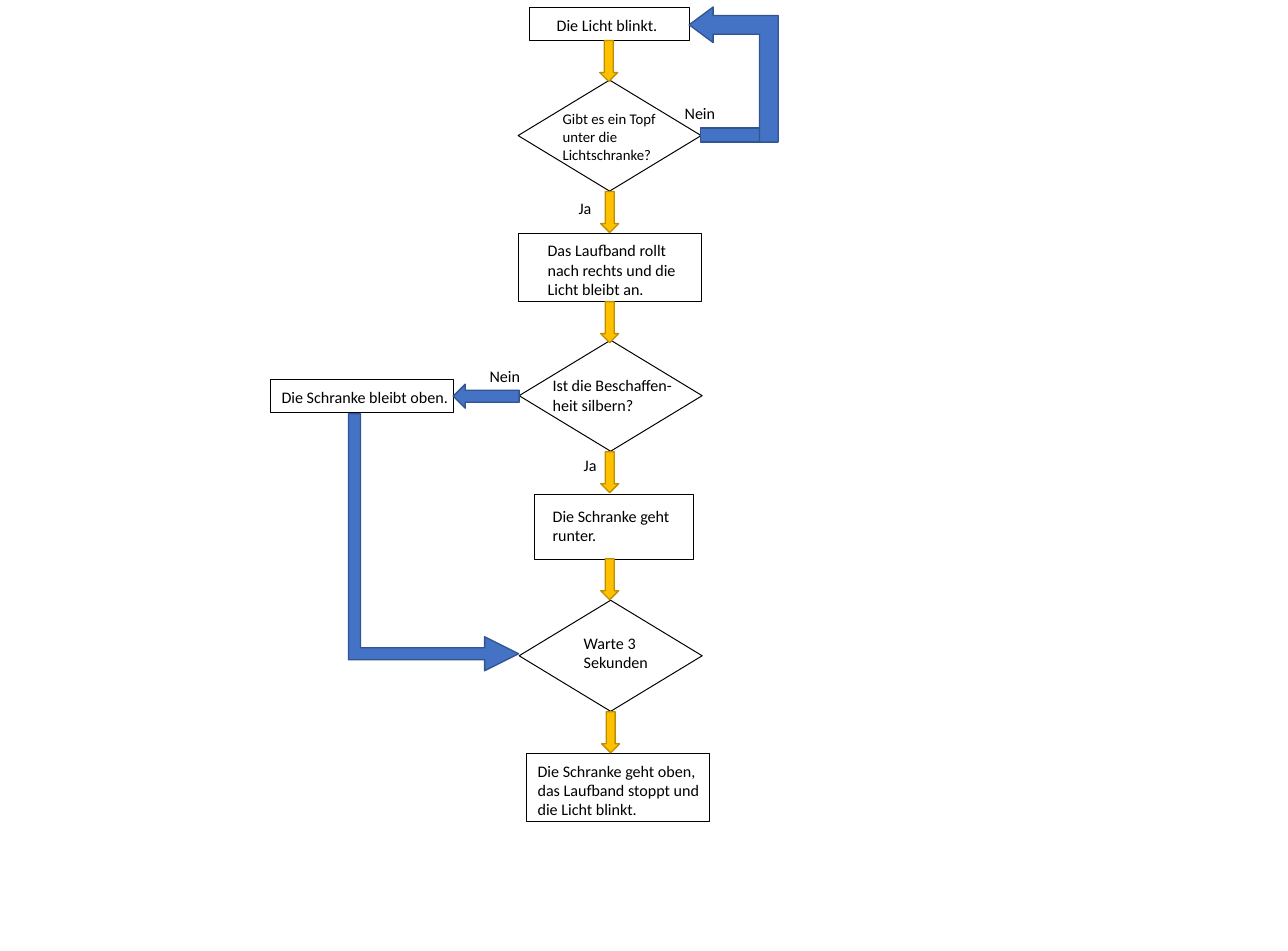
"""Builds a flowchart slide for a conveyor belt with a light barrier."""
import pptx
import pptx.dml.color
import pptx.enum.shapes
import pptx.enum.text
import pptx.util

BLACK = pptx.dml.color.RGBColor(0x00, 0x00, 0x00)
GOLD = pptx.dml.color.RGBColor(0xFF, 0xC0, 0x00)
DARK_GOLD = pptx.dml.color.RGBColor(0xBD, 0x8E, 0x00)
BLUE = pptx.dml.color.RGBColor(0x44, 0x72, 0xC4)
DARK_BLUE = pptx.dml.color.RGBColor(0x32, 0x54, 0x91)

SHAPES = pptx.enum.shapes.MSO_SHAPE
EMU_PER_PIXEL = 914400 / 96.6
DIAMOND_SIZE = (183, 111)
DOWN_ARROW_SIZE = (41, 18)

PROCESS_BOXES = [
    (529, 8, 160, 33),
    (518, 233, 183, 68),
    (534, 494, 159, 65),
    (526, 753, 183, 68),
    (270, 379, 183, 33),
]
DECISIONS = [(518, 80), (519, 340), (519, 600)]
DOWN_ARROWS = [(588, 52), (589, 203), (589, 313), (589, 463), (589, 570), (590, 723)]
LABELS = [
    ("Die Licht blinkt.", (547, 11, 141, 29), 12),
    ("Gibt es ein Topf unter die Lichtschranke?", (553, 105, 116, 64), 11),
    ("Nein", (675, 99, 116, 29), 12),
    ("Ja", (569, 194, 45, 29), 12),
    ("Das Laufband rollt nach rechts und die Licht bleibt an.", (538, 236, 162, 69), 12),
    ("Ist die Beschaffen-\nheit silbern?", (543, 371, 189, 48), 12),
    ("Nein", (480, 361, 116, 29), 12),
    ("Die Schranke bleibt oben.", (272, 382, 217, 29), 12),
    ("Ja", (574, 450, 45, 29), 12),
    ("Die Schranke geht runter.", (543, 501, 156, 48), 12),
    ("Warte 3 Sekunden", (574, 628, 85, 48), 12),
    ("Die Schranke geht oben, das Laufband stoppt und die Licht blinkt.",
     (528, 756, 198, 69), 12),
]


def to_emu(*pixels):
    """Convert pixel lengths to EMU."""
    return [pptx.util.Emu(round(pixel * EMU_PER_PIXEL)) for pixel in pixels]


def add_outline(slide, kind, box):
    """Add an unfilled flowchart symbol with a thin black outline."""
    shape = slide.shapes.add_shape(kind, *to_emu(*box))
    shape.shadow.inherit = False
    shape.fill.background()
    shape.line.color.rgb = BLACK
    shape.line.width = pptx.util.Pt(0.75)


def add_flow(slide, kind, box, fill, line, rotation=0, adjustments=()):
    """Add a filled block arrow or a straight piece of one."""
    shape = slide.shapes.add_shape(kind, *to_emu(*box))
    shape.shadow.inherit = False
    shape.rotation = rotation
    for index, value in enumerate(adjustments):
        shape.adjustments[index] = value
    shape.fill.solid()
    shape.fill.fore_color.rgb = fill
    shape.line.color.rgb = line
    shape.line.width = pptx.util.Pt(1)


def add_label(slide, text, box, size):
    """Add a wrapped text box in black Calibri."""
    text_frame = slide.shapes.add_textbox(*to_emu(*box)).text_frame
    text_frame.word_wrap = True
    text_frame.auto_size = pptx.enum.text.MSO_AUTO_SIZE.SHAPE_TO_FIT_TEXT
    text_frame.text = text
    for paragraph in text_frame.paragraphs:
        for run in paragraph.runs:
            run.font.name = "Calibri"
            run.font.size = pptx.util.Pt(size)
            run.font.color.rgb = BLACK


def main():
    """Build the slide and save it."""
    presentation = pptx.Presentation()
    presentation.slide_width = pptx.util.Inches(13.33)
    presentation.slide_height = pptx.util.Inches(9.84)
    slide = presentation.slides.add_slide(presentation.slide_layouts[6])

    for box in PROCESS_BOXES:
        add_outline(slide, SHAPES.RECTANGLE, box)
    for position in DECISIONS:
        add_outline(slide, SHAPES.DIAMOND, position + DIAMOND_SIZE)
    for position in DOWN_ARROWS:
        add_flow(slide, SHAPES.RIGHT_ARROW, position + DOWN_ARROW_SIZE, GOLD, DARK_GOLD, 90)

    add_flow(slide, SHAPES.RIGHT_ARROW, (453, 384, 66, 24), BLUE, DARK_BLUE, 180)
    add_flow(slide, SHAPES.RECTANGLE, (700, 128, 77, 14), BLUE, DARK_BLUE)
    add_flow(slide, SHAPES.BENT_UP_ARROW, (666, 30, 135, 89), BLUE, DARK_BLUE, 270,
             (0.21, 0.2, 0.27))
    add_flow(slide, SHAPES.BENT_UP_ARROW, (305, 457, 257, 170), BLUE, DARK_BLUE, 90,
             (0.07, 0.1, 0.2))

    for text, box, size in LABELS:
        add_label(slide, text, box, size)

    presentation.save("out.pptx")


main()
